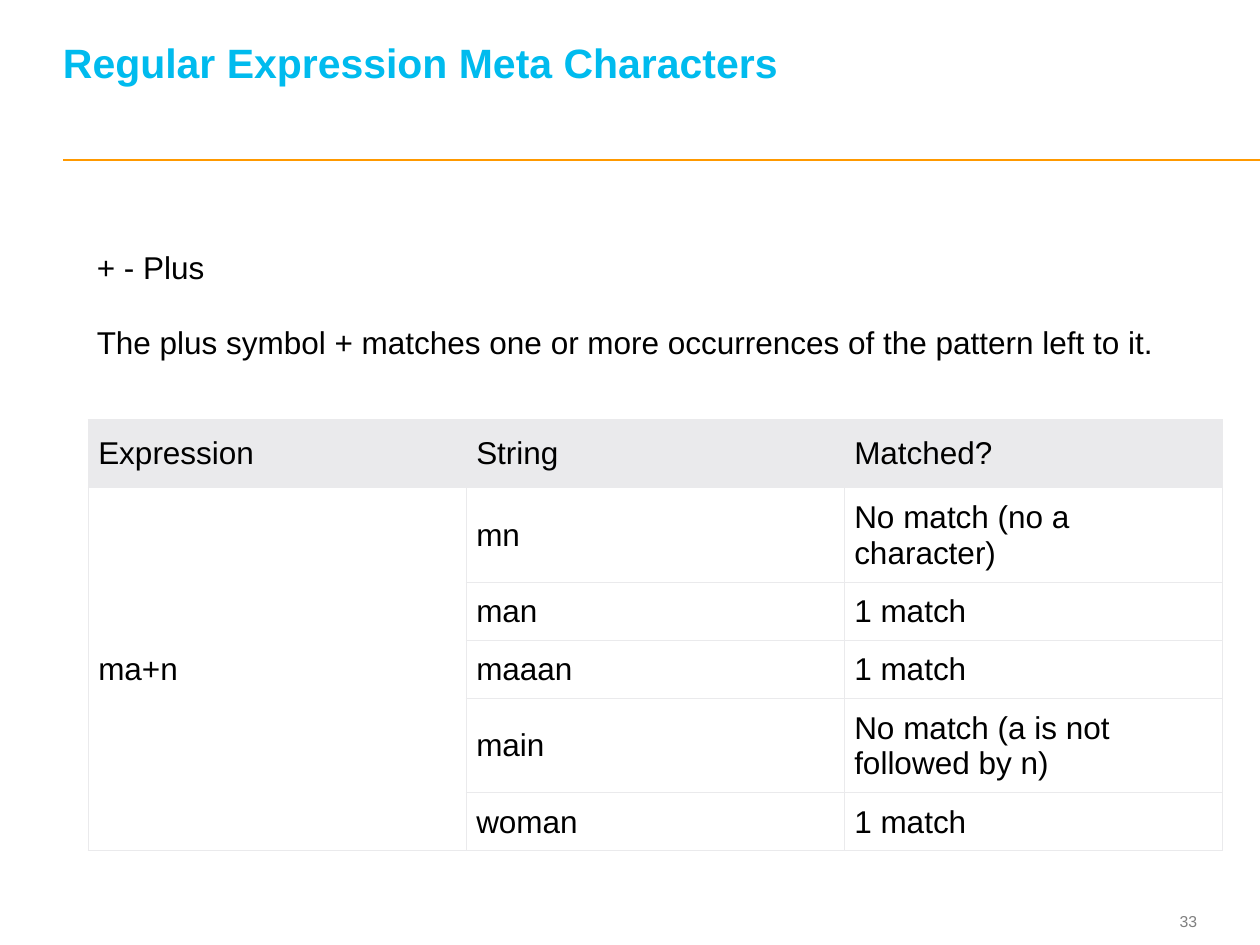
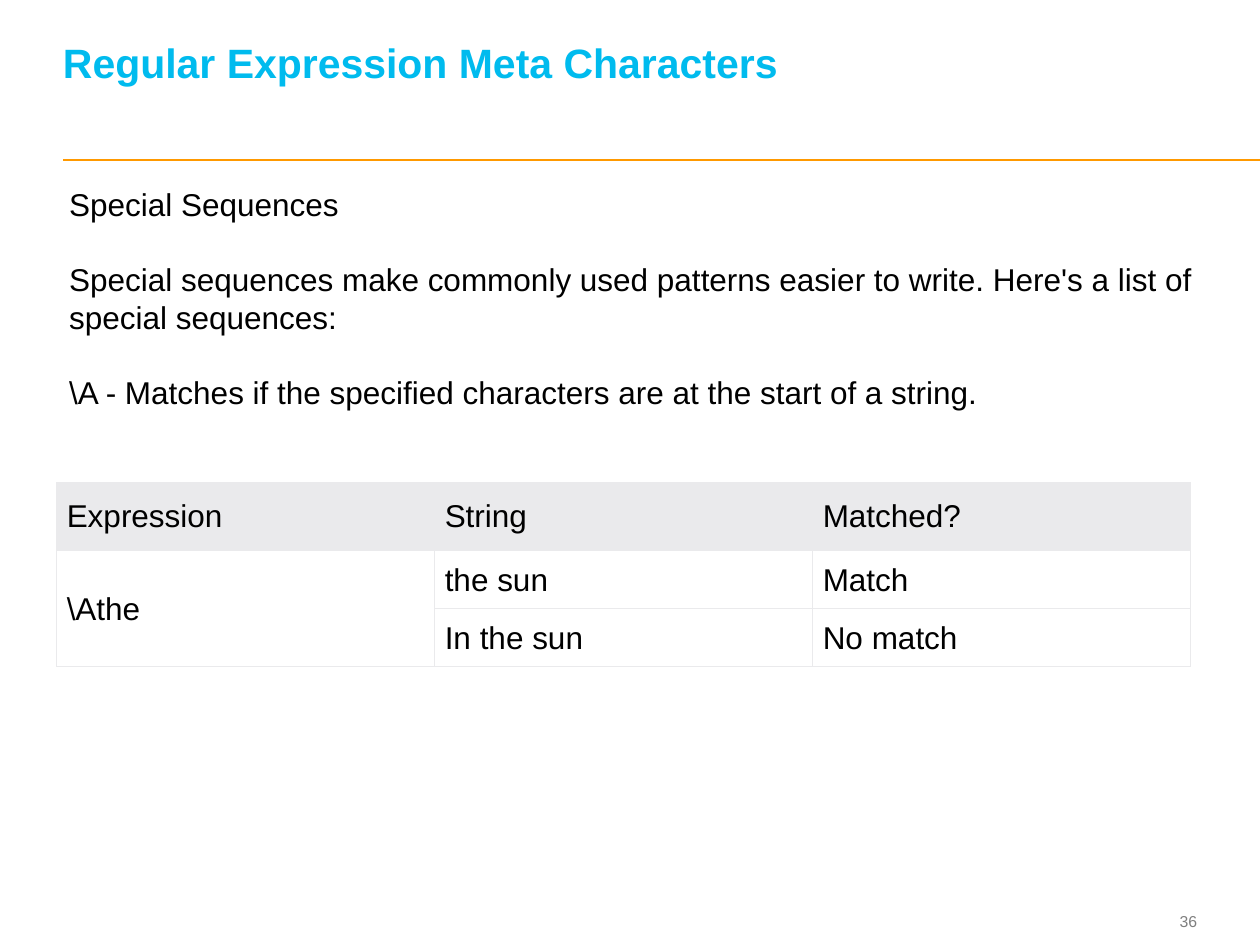
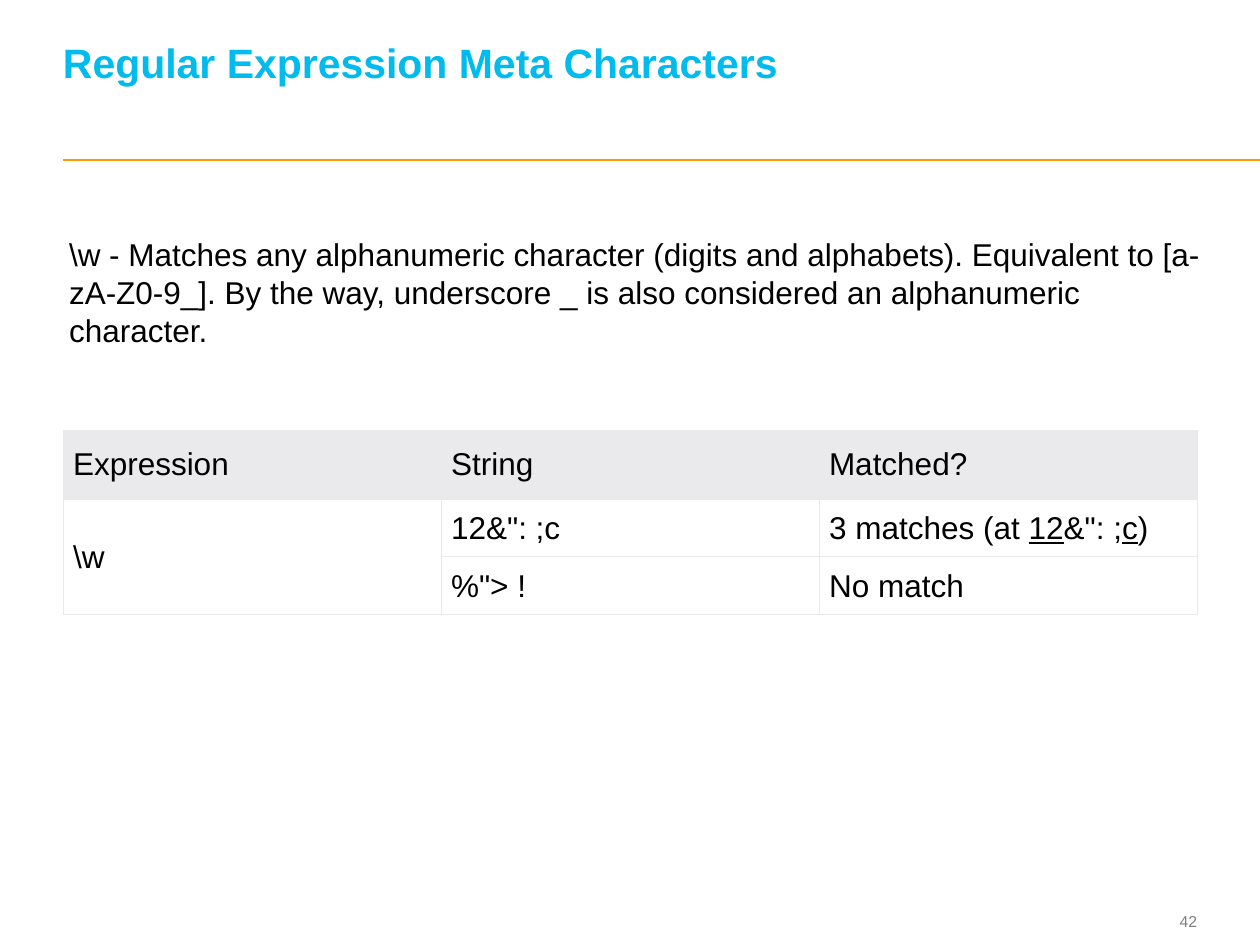
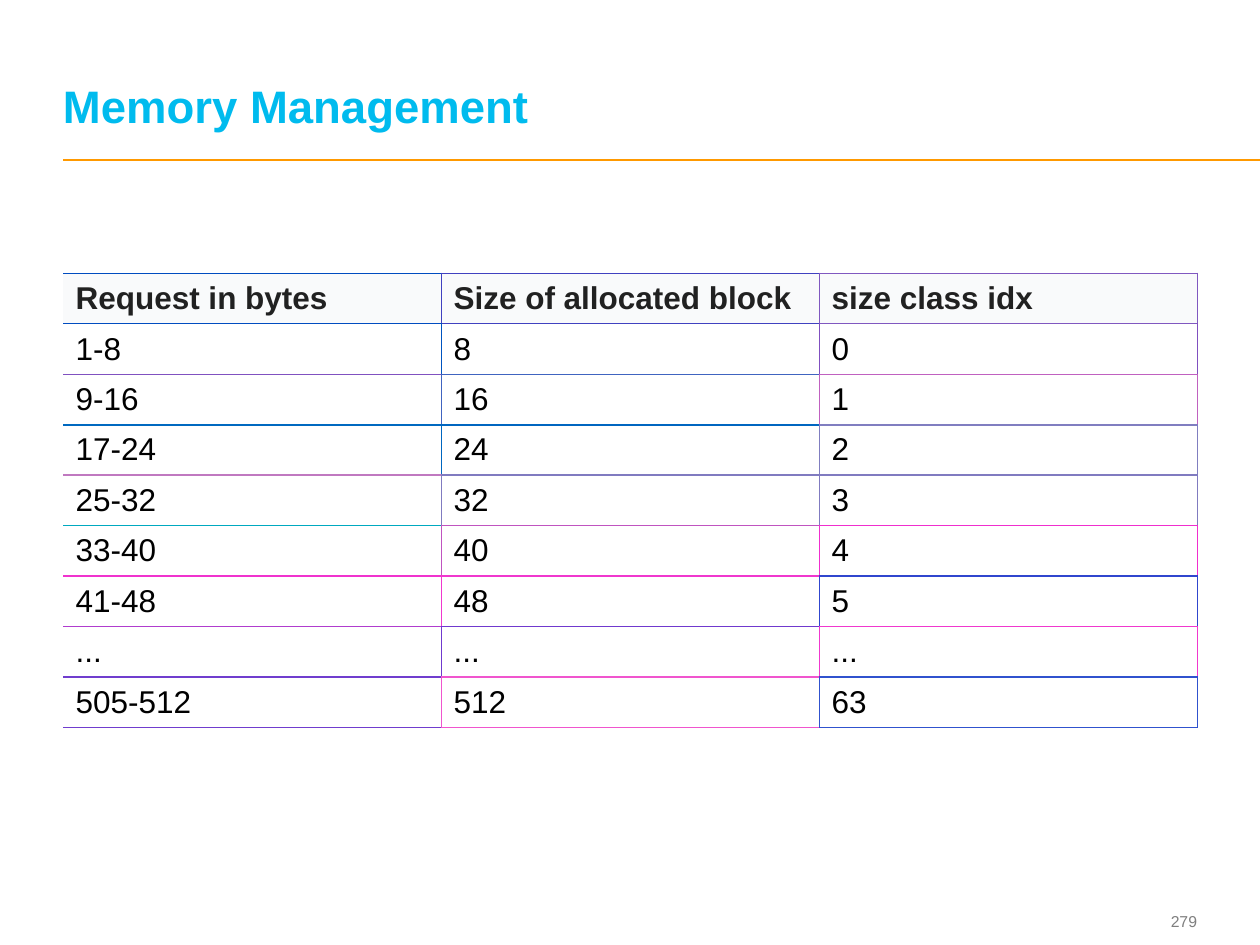
from lxml import etree
from pptx import Presentation
from pptx.dml.color import RGBColor
from pptx.enum import shapes, text
from pptx.oxml import ns
from pptx.util import Inches, Pt

FONT = "Arial"
BLACK = RGBColor(0x00, 0x00, 0x00)
WHITE = RGBColor(0xFF, 0xFF, 0xFF)
TITLE_BLUE = RGBColor(0x00, 0xBB, 0xEE)
RULE_ORANGE = RGBColor(0xFF, 0x99, 0x00)
NUMBER_GRAY = RGBColor(0x7F, 0x7F, 0x7F)
GRID_GRAY = RGBColor(0xEA, 0xEA, 0xEC)
HEAD_FILL = RGBColor(0xF9, 0xFA, 0xFB)
HEAD_TEXT = RGBColor(0x21, 0x21, 0x21)

BODY_LINE = 21.5
COLUMN_WIDTH = 3
HEAD_HEIGHT, ROW_HEIGHT, TALL_HEIGHT = 0.54, 0.46, 0.75
MEMORY_ROW_HEIGHT = 0.38
THIN, THICK = 0.6, 1

REGEX_TITLE = "Regular Expression Meta Characters"
REGEX_HEADER = ["Expression", "String", "Matched?"]
# A text that is a list holds (text, underlined) runs.
REGEX_SLIDES = [
    {
        "number": 33,
        "body": ["+ - Plus",
                 "The plus symbol + matches one or more occurrences of the pattern left to it."],
        "body_box": (0.67, 1.92, 8.67, 1.01),
        "table_at": (0.7, 3.33),
        "expression": "ma+n",
        "results": [("mn", "No match (no a character)"),
                    ("man", "1 match"),
                    ("maaan", "1 match"),
                    ("main", "No match (a is not followed by n)"),
                    ("woman", "1 match")],
        "tall_rows": (1, 4),
    },
    {
        "number": 36,
        "body": ["Special Sequences",
                 "Special sequences make commonly used patterns easier to write. "
                 "Here's a list of special sequences:",
                 r"\A - Matches if the specified characters are at the start of a string."],
        "body_box": (0.45, 1.42, 9.26, 1.92),
        "table_at": (0.45, 3.83),
        "expression": r"\Athe",
        "results": [("the sun", "Match"), ("In the sun", "No match")],
        "tall_rows": (),
    },
    {
        "number": 42,
        "body": [r"\w - Matches any alphanumeric character (digits and alphabets). "
                 "Equivalent to [a-zA-Z0-9_]. By the way, underscore _ is also "
                 "considered an alphanumeric character."],
        "body_box": (0.45, 1.82, 9.26, 1.01),
        "table_at": (0.5, 3.42),
        "expression": r"\w",
        "results": [('12&": ;c', [("3 matches (at ", False), ("12", True),
                                  ('&": ;', False), ("c", True), (")", False)]),
                    ('%"> !', "No match")],
        "tall_rows": (),
    },
]

MEMORY_TITLE = "Memory Management"
MEMORY_NUMBER = 279
MEMORY_ROWS = [
    ("Request in bytes", "Size of allocated block", "size class idx"),
    ("1-8", "8", "0"),
    ("9-16", "16", "1"),
    ("17-24", "24", "2"),
    ("25-32", "32", "3"),
    ("33-40", "40", "4"),
    ("41-48", "48", "5"),
    ("...", "...", "..."),
    ("505-512", "512", "63"),
]
MEMORY_LINES = [[RGBColor.from_string(code) for code in row.split()] for row in (
    "004CC0 4041C0 8058C0",
    "004CC0 0054C0 804FC0",
    "8051C0 4064C0 C061C0",
    "0069C0 0066C0 807EC0",
    "C079C0 807BC0 807BC0",
    "00A9C0 C053C0 F02ECE",
    "F033CE F037CE 3046CE",
    "B03CCE 7039CE F038CE",
    "703DCE F055CE 3052CE",
)]


def write(frame, paragraphs, size=18, color=BLACK, bold=False, align=None,
          line=None, gap=0):
    """Fill a text frame; line and gap are in points."""
    for index, content in enumerate(paragraphs):
        paragraph = frame.paragraphs[0] if index == 0 else frame.add_paragraph()
        paragraph.alignment = align
        if line:
            paragraph.line_spacing = Pt(line)
        if index and gap:
            paragraph.space_before = Pt(gap)
        runs = [(content, False)] if isinstance(content, str) else content
        for words, underlined in runs:
            run = paragraph.add_run()
            run.text = words
            font = run.font
            font.name, font.size, font.bold = FONT, Pt(size), bold
            font.color.rgb = color
            if underlined:
                font.underline = True


def add_text(slide, box, paragraphs, anchor=text.MSO_ANCHOR.TOP, insets=None, **style):
    frame = slide.shapes.add_textbox(*map(Inches, box)).text_frame
    frame.word_wrap = True
    frame.vertical_anchor = anchor
    if insets:
        set_margins(frame, insets)
    write(frame, paragraphs, **style)


def set_margins(holder, insets):
    """Set left, top, right and bottom margins of a frame or a cell."""
    for side, inset in zip(("left", "top", "right", "bottom"), insets):
        setattr(holder, f"margin_{side}", Inches(inset))


def set_borders(cell, borders):
    """Draw borders given as {side: (color, points)}; other sides get no line."""
    properties = cell._tc.get_or_add_tcPr()
    for position, side in enumerate("LRTB"):
        border = etree.Element(ns.qn(f"a:ln{side}"))
        if side in borders:
            color, width = borders[side]
            border.set("w", str(Pt(width)))
            fill = etree.SubElement(border, ns.qn("a:solidFill"))
            etree.SubElement(fill, ns.qn("a:srgbClr")).set("val", str(color))
        else:
            etree.SubElement(border, ns.qn("a:noFill"))
        properties.insert(position, border)


def add_slide(presentation, title, number, title_size, lift=0):
    """Add a slide with title, rule and number; lift raises the title in inches."""
    slide = presentation.slides.add_slide(presentation.slide_layouts[6])
    rule = slide.shapes.add_connector(shapes.MSO_CONNECTOR.STRAIGHT, Inches(0.5),
                                      Inches(1.27), Inches(10), Inches(1.27))
    rule.line.color.rgb = RULE_ORANGE
    rule.line.width = Pt(1)
    etree.SubElement(rule._element.spPr, ns.qn("a:effectLst"))
    add_text(slide, (8.91, 7.18, 0.59, 0.27), [str(number)], text.MSO_ANCHOR.MIDDLE,
             (0, 0, 0, 0), size=9, color=NUMBER_GRAY, align=text.PP_ALIGN.RIGHT)
    add_text(slide, (0.5, 0.19, 8.97, 0.86), [title], text.MSO_ANCHOR.BOTTOM,
             (0, 0, 0, lift), size=title_size, color=TITLE_BLUE, bold=True, line=26)
    return slide


def add_table(slide, at, heights):
    columns = 3
    table = slide.shapes.add_table(
        len(heights), columns, *map(Inches, at),
        Inches(columns * COLUMN_WIDTH), Inches(sum(heights))).table
    table.first_row = table.horz_banding = False
    for column in table.columns:
        column.width = Inches(COLUMN_WIDTH)
    for row, height in zip(table.rows, heights):
        row.height = Inches(height)
    return table


def fill_cell(cell, content, fill, borders, insets=None, **style):
    cell.fill.solid()
    cell.fill.fore_color.rgb = fill
    cell.vertical_anchor = text.MSO_ANCHOR.MIDDLE
    if insets:
        set_margins(cell, insets)
    if content:
        write(cell.text_frame, [content], **style)
    set_borders(cell, borders)


def add_regex_slide(presentation, content):
    slide = add_slide(presentation, REGEX_TITLE, content["number"], 23.4, lift=0.36)
    add_text(slide, content["body_box"], content["body"], line=BODY_LINE, gap=BODY_LINE)
    rows = [REGEX_HEADER]
    for index, result in enumerate(content["results"]):
        rows.append([content["expression"] if index == 0 else "", *result])
    heights = [HEAD_HEIGHT] + [TALL_HEIGHT if row in content["tall_rows"] else ROW_HEIGHT
                               for row in range(1, len(rows))]
    table = add_table(slide, content["table_at"], heights)
    borders = dict.fromkeys("LRTB", (GRID_GRAY, THIN))
    for r, row in enumerate(rows):
        fill = WHITE if r else GRID_GRAY
        insets = (0.08, 0.08, 0.07, 0.07) if r else (0.08, 0.12, 0.07, 0.12)
        for c, words in enumerate(row):
            fill_cell(table.cell(r, c), words, fill, borders, insets)
    table.cell(1, 0).merge(table.cell(len(rows) - 1, 0))


def memory_borders(r, c):
    """Each cell has its own line colour and meets its right and lower neighbours'."""
    last_row, last_column = len(MEMORY_ROWS) - 1, 2
    own = MEMORY_LINES[r][c]
    borders = {
        "T": (MEMORY_LINES[0][c], THIN) if r == 1 else (own, THICK),
        "R": (MEMORY_LINES[r][min(c + 1, last_column)], THIN),
        "B": (own, THIN) if r in (0, last_row) else (MEMORY_LINES[r + 1][c], THICK),
    }
    if c:
        borders["L"] = (own, THIN)
    return borders


def add_memory_slide(presentation):
    slide = add_slide(presentation, MEMORY_TITLE, MEMORY_NUMBER, 26)
    table = add_table(slide, (0.5, 2.17), [MEMORY_ROW_HEIGHT] * len(MEMORY_ROWS))
    for r, row in enumerate(MEMORY_ROWS):
        fill, color = (WHITE, BLACK) if r else (HEAD_FILL, HEAD_TEXT)
        for c, words in enumerate(row):
            fill_cell(table.cell(r, c), words, fill, memory_borders(r, c),
                      color=color, bold=r == 0)


def main():
    presentation = Presentation()
    presentation.slide_width, presentation.slide_height = Inches(10), Inches(7.5)
    for content in REGEX_SLIDES:
        add_regex_slide(presentation, content)
    add_memory_slide(presentation)
    presentation.save("out.pptx")


if __name__ == "__main__":
    main()
